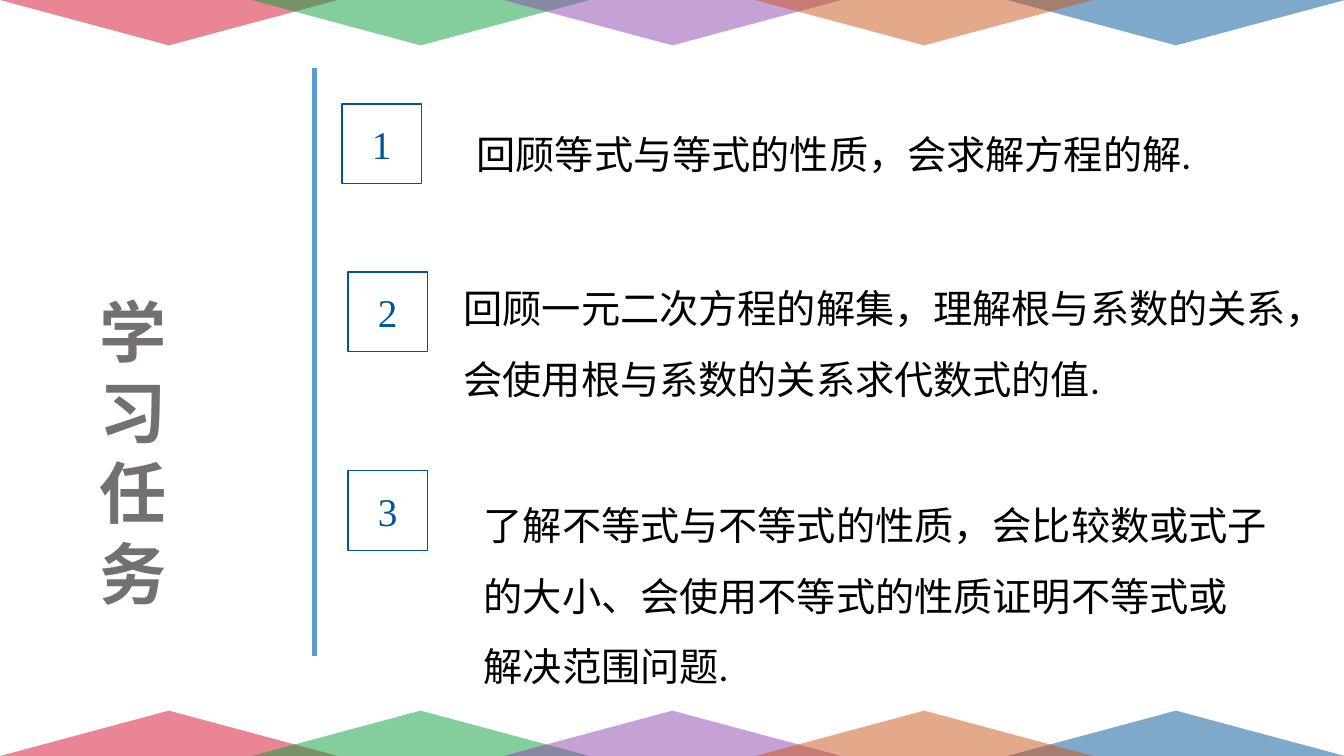
from lxml import etree
from pptx import Presentation
from pptx.dml.color import RGBColor
from pptx.enum.shapes import MSO_CONNECTOR, MSO_SHAPE
from pptx.enum.text import MSO_ANCHOR, MSO_AUTO_SIZE, PP_ALIGN
from pptx.oxml.ns import qn
from pptx.util import Inches, Pt


def paint(color_format, hex_color):
    color_format.rgb = RGBColor.from_string(hex_color)


def write(tf, text, size, font, color, align, spacing=None, bold=False):
    """Fill the frame with one paragraph, one run per line of text."""
    p = tf.paragraphs[0]
    p.alignment = align
    p.line_spacing = spacing
    for i, line in enumerate(text.split("\n")):
        if i:
            p.add_line_break()
        r = p.add_run()
        r.text = line
        r.font.size = Pt(size)
        r.font.name = font
        r.font.bold = bold
        paint(r.font.color, color)


prs = Presentation()
prs.slide_width, prs.slide_height = Inches(13.33), Inches(7.5)
s = prs.slides.add_slide(prs.slide_layouts[6])

# Translucent triangles along the bottom and top edges; column and colour, back to front
triangles = [(0, "D50D2A"), (4, "005596"), (1, "099F3B"), (2, "8D44AD"), (3, "CB5518")]
for top, rotation in [(7.05, 0), (0, 180)]:
    for column, color in triangles:
        sp = s.shapes.add_shape(MSO_SHAPE.ISOSCELES_TRIANGLE, Inches(column * 2.497),
                                Inches(top), Inches(3.35), Inches(0.45))
        sp.rotation = rotation
        sp.shadow.inherit = False
        sp.line.fill.background()
        sp.fill.solid()
        paint(sp.fill.fore_color, color)
        clr = sp.fill._xPr.find(qn("a:solidFill"))[0]
        etree.SubElement(clr, qn("a:alpha"), val="50000")

# Title, one character per line, and the divider
title = s.shapes.add_textbox(Inches(0.63), Inches(2.83), Inches(1.38), Inches(3.33))
title.text_frame.word_wrap = True
title.text_frame.auto_size = MSO_AUTO_SIZE.SHAPE_TO_FIT_TEXT
write(title.text_frame, "学习任务", 48, "Calibri", "757070", PP_ALIGN.CENTER, bold=True)

divider = s.shapes.add_connector(MSO_CONNECTOR.STRAIGHT, Inches(3.12), Inches(0.67),
                                 Inches(3.12), Inches(6.51))
divider.line.width = Pt(3)
paint(divider.line.color, "5B9BD5")
etree.SubElement(divider._element.spPr, qn("a:effectLst"))

# Numbered tasks: number box position, text box, wrapping, alignment, text
tasks = [
    (3.39, 1.03, (4.63, 1.01, 7.3, 0.81), False, PP_ALIGN.JUSTIFY,
     "回顾等式与等式的性质，会求解方程的解."),
    (3.45, 2.7, (4.5, 2.54, 8.79, 1.51), True, PP_ALIGN.LEFT,
     "回顾一元二次方程的解集，理解根与系数的关系，\n会使用根与系数的关系求代数式的值."),
    (3.45, 4.67, (4.7, 4.69, 10.6, 2.22), True, PP_ALIGN.LEFT,
     "了解不等式与不等式的性质，会比较数或式子\n的大小、会使用不等式的性质证明不等式或\n解决范围问题."),
]
for number, (left, top, text_box, wrap, align, text) in enumerate(tasks, 1):
    sp = s.shapes.add_shape(MSO_SHAPE.RECTANGLE, Inches(left), Inches(top),
                            Inches(0.79), Inches(0.79))
    sp.shadow.inherit = False
    sp.fill.background()
    sp.line.width = Pt(1)
    paint(sp.line.color, "005596")
    sp.text_frame.vertical_anchor = MSO_ANCHOR.MIDDLE
    write(sp.text_frame, str(number), 28, "Times New Roman", "005596", PP_ALIGN.CENTER)

    tf = s.shapes.add_textbox(*[Inches(v) for v in text_box]).text_frame
    tf.word_wrap = wrap
    tf.auto_size = MSO_AUTO_SIZE.SHAPE_TO_FIT_TEXT
    write(tf, text, 28, "Calibri", "000000", align, spacing=1.5)

prs.save("out.pptx")
